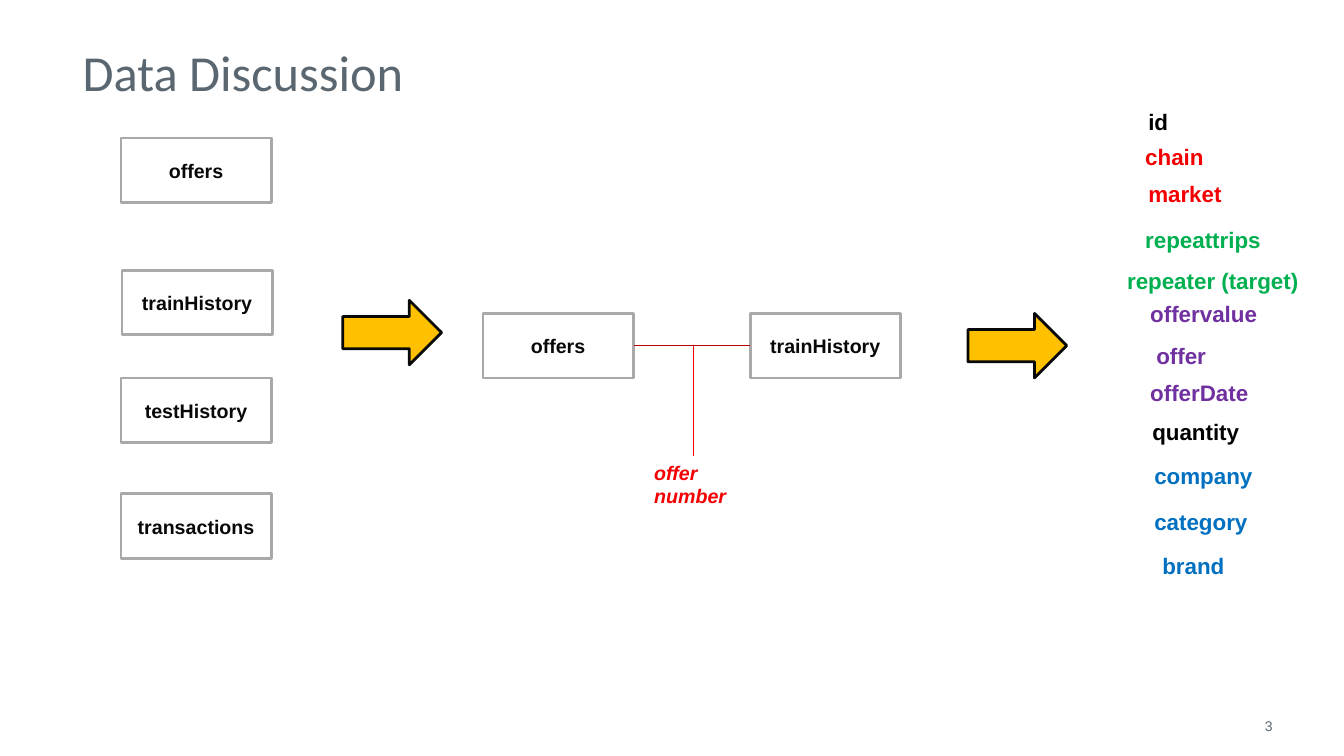
"""Build the Data Discussion slide: source tables, their join and the resulting fields."""
import pptx
import pptx.dml.color
import pptx.enum.shapes
import pptx.enum.text
import pptx.oxml.ns
import pptx.util
from dataclasses import dataclass
from lxml import etree

Inches = pptx.util.Inches
Pt = pptx.util.Pt
RGB = pptx.dml.color.RGBColor.from_string
SHAPE = pptx.enum.shapes.MSO_SHAPE
ALIGN = pptx.enum.text.PP_ALIGN
ANCHOR = pptx.enum.text.MSO_ANCHOR


@dataclass(frozen=True)
class Theme:
    slate: str = "5B6770"
    ink: str = "080808"
    black: str = "000000"
    white: str = "FFFFFF"
    border: str = "A9A9AA"
    amber: str = "FFC000"
    red: str = "F50002"
    dark_red: str = "B80001"
    green: str = "00B050"
    purple: str = "7030A0"
    blue: str = "0070C0"
    title_size: int = 36
    field_size: int = 16
    label_size: int = 14
    number_size: int = 10


theme = Theme()


def write(sp, text, size, color, font="Arial", bold=True, italic=False,
          align=ALIGN.LEFT, anchor=ANCHOR.TOP):
    tf = sp.text_frame
    tf.word_wrap = True
    tf.auto_size = pptx.enum.text.MSO_AUTO_SIZE.NONE
    tf.vertical_anchor = anchor
    p = tf.paragraphs[0]
    p.alignment = align
    r = p.add_run()
    r.text = text
    r.font.name = font
    r.font.size = Pt(size)
    r.font.bold = bold
    r.font.italic = italic
    r.font.color.rgb = RGB(color)


def add_block(s, kind, x, y, width, fill, line):
    sp = s.shapes.add_shape(kind, Inches(x), Inches(y), Inches(width), Inches(0.64))
    sp.shadow.inherit = False
    sp.fill.solid()
    sp.fill.fore_color.rgb = RGB(fill)
    sp.line.color.rgb = RGB(line)
    sp.line.width = Pt(2)
    return sp


prs = pptx.Presentation()
prs.slide_width = Inches(13.33)
prs.slide_height = Inches(7.5)
s = prs.slides.add_slide(prs.slide_layouts[5])

title = s.shapes.title
title.left, title.top, title.width, title.height = map(Inches, (0.72, 0.25, 12, 0.81))
write(title, "Data Discussion", theme.title_size, theme.slate, font="Calibri",
      bold=False, anchor=ANCHOR.BOTTOM)

number = s.shapes.add_textbox(Inches(9.61), Inches(7.07), Inches(3.11), Inches(0.28))
write(number, "3", theme.number_size, theme.slate, bold=False, align=ALIGN.RIGHT)

tables = [
    ("offers", 1.2, 1.37),
    ("trainHistory", 1.21, 2.68),
    ("testHistory", 1.2, 3.75),
    ("transactions", 1.2, 4.9),
    ("offers", 4.79, 3.11),
    ("trainHistory", 7.44, 3.11),
]
for name, x, y in tables:
    sp = add_block(s, SHAPE.RECTANGLE, x, y, 1.49, theme.white, theme.border)
    write(sp, name, theme.label_size, theme.ink, align=ALIGN.CENTER, anchor=ANCHOR.MIDDLE)

for x, y in [(3.4, 2.98), (9.6, 3.11)]:
    add_block(s, SHAPE.RIGHT_ARROW, x, y, 0.98, theme.amber, theme.ink)

join_lines = [
    (6.29, 3.43, 7.44, 3.43, theme.dark_red),
    (6.88, 3.43, 6.88, 4.52, theme.red),
]
for x1, y1, x2, y2, color in join_lines:
    line = s.shapes.add_connector(pptx.enum.shapes.MSO_CONNECTOR.STRAIGHT,
                                  Inches(x1), Inches(y1), Inches(x2), Inches(y2))
    line.line.color.rgb = RGB(color)
    line.line.width = Pt(0.75)
    etree.SubElement(line._element.spPr, pptx.oxml.ns.qn("a:effectLst"))

join_key = s.shapes.add_textbox(Inches(6.39), Inches(4.52), Inches(0.97), Inches(0.57))
write(join_key, "offer number", theme.label_size, theme.red, italic=True)

fields = [
    ("id", 11.29, 1.02, theme.black),
    ("chain", 11.26, 1.37, theme.red),
    ("market", 11.29, 1.74, theme.red),
    ("repeattrips", 11.26, 2.19, theme.green),
    ("repeater (target)", 11.08, 2.6, theme.green),
    ("offervalue", 11.31, 2.93, theme.purple),
    ("offer", 11.37, 3.35, theme.purple),
    ("offerDate", 11.31, 3.71, theme.purple),
    ("quantity", 11.33, 4.1, theme.black),
    ("company", 11.35, 4.54, theme.blue),
    ("category", 11.35, 4.99, theme.blue),
    ("brand", 11.43, 5.43, theme.blue),
]
for name, x, y, color in fields:
    width = 1.98 if "target" in name else 1.49
    sp = s.shapes.add_textbox(Inches(x), Inches(y), Inches(width), Inches(0.37))
    write(sp, name, theme.field_size, color)

prs.save("out.pptx")
